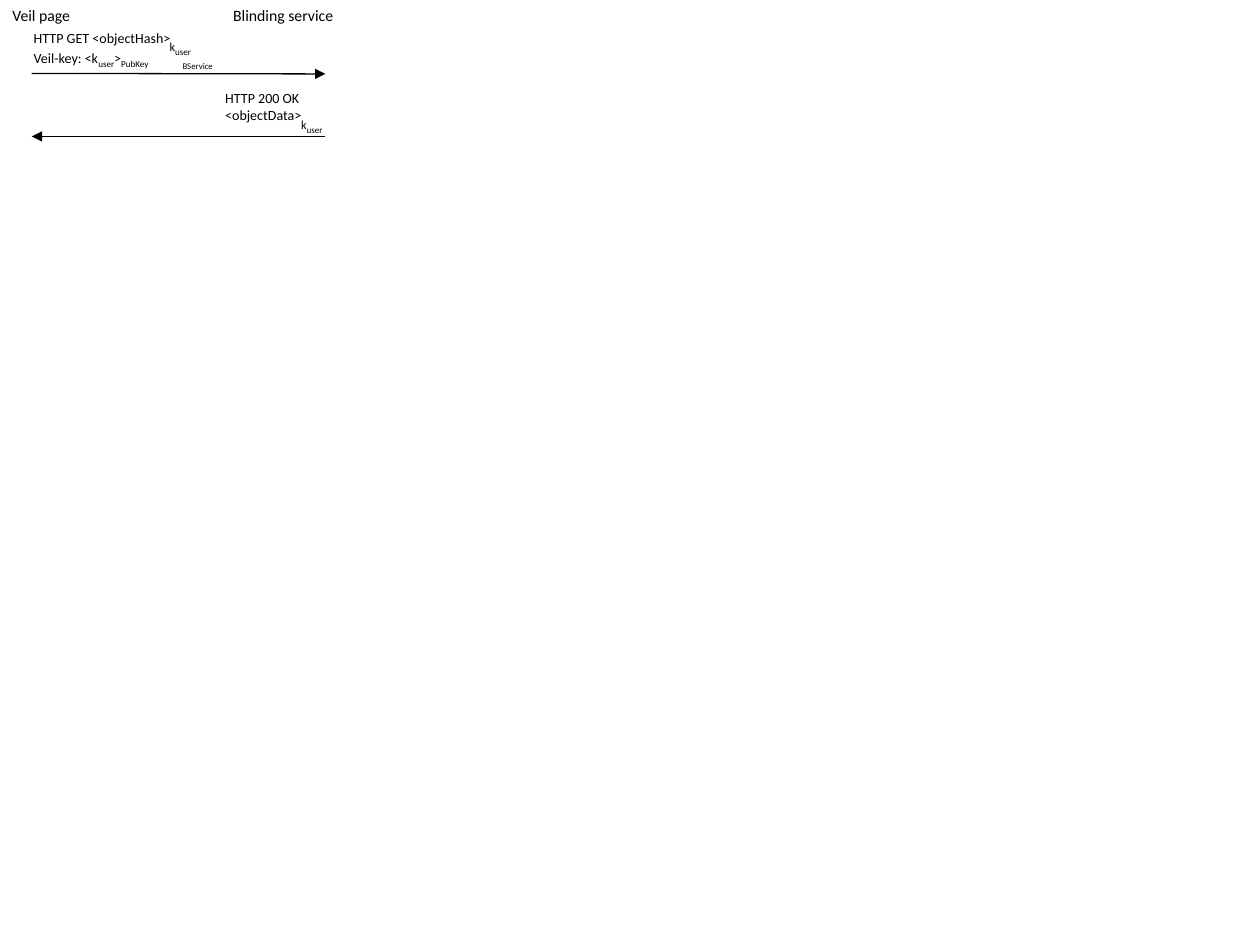
from dataclasses import dataclass

from lxml import etree
from pptx import Presentation
from pptx.dml.color import RGBColor
from pptx.enum.shapes import MSO_CONNECTOR
from pptx.enum.text import MSO_AUTO_SIZE
from pptx.oxml.ns import qn
from pptx.util import Cm, Pt

STRAIGHT = MSO_CONNECTOR.STRAIGHT
GROW = MSO_AUTO_SIZE.SHAPE_TO_FIT_TEXT
INK = "000000"
FONT = "Calibri"
LEFT, RIGHT = 0.64, 6.56


@dataclass(frozen=True)
class Bit:
    text: str
    size: float
    sub: bool = False


@dataclass(frozen=True)
class Label:
    x: float
    y: float
    wide: float
    high: float
    bits: tuple[Bit, ...]


@dataclass(frozen=True)
class Arrow:
    start: float
    end: float
    top: float
    low: float


USER = Bit("user", 9, True)
KEY = (Bit("k", 7), USER)

HEADS = (
    Label(0, 0, 2.96, 0.64, (Bit("Veil page", 9),)),
    Label(4.45, 0, 5.08, 0.64, (Bit("Blinding service", 9),)),
)
STATUS = Label(4.29, 1.69, 3.18, 0.61, (Bit("HTTP 200 OK", 8),))
GROUPS = (
    (
        Label(0.43, 0.84, 5.08, 0.61, (
            Bit("Veil-key: <k", 8), USER, Bit(">", 8), Bit("PubKey", 9, True),
        )),
        Label(3.43, 1.11, 1.9, 0.47, (Bit("BService", 5),)),
    ),
    (
        Label(4.29, 2.02, 2.84, 0.61, (Bit("<objectData>", 8),)),
        Label(5.82, 2.17, 1.38, 0.55, KEY),
    ),
    (
        Label(0.43, 0.47, 5.08, 0.61, (Bit("HTTP GET <objectHash>", 8),)),
        Label(3.17, 0.6, 1.38, 0.55, KEY),
    ),
)
ARROWS = (
    Arrow(LEFT, RIGHT, 1.48, 1.49),
    Arrow(RIGHT, LEFT, 2.75, 2.75),
)


def paint(target, shade: str) -> None:
    target.rgb = RGBColor.from_string(shade)


def add_label(shapes, label: Label) -> None:
    box = shapes.add_textbox(Cm(label.x), Cm(label.y), Cm(label.wide), Cm(label.high))
    frame = box.text_frame
    frame.word_wrap = True
    frame.auto_size = GROW
    for bit in label.bits:
        run = frame.paragraphs[0].add_run()
        run.text = bit.text
        run.font.name = FONT
        run.font.size = Pt(bit.size)
        paint(run.font.color, INK)
        if bit.sub:
            run._r.get_or_add_rPr().set("baseline", "-25000")


def add_arrow(shapes, arrow: Arrow) -> None:
    line = shapes.add_connector(
        STRAIGHT, Cm(arrow.start), Cm(arrow.top), Cm(arrow.end), Cm(arrow.low)
    )
    line.line.width = Pt(0.75)
    line.line.fill.solid()
    paint(line.line.fill.fore_color, INK)
    props = line._element.spPr
    etree.SubElement(props.find(qn("a:ln")), qn("a:tailEnd")).set("type", "triangle")
    etree.SubElement(props, qn("a:effectLst"))


def main() -> None:
    deck = Presentation()
    deck.slide_width, deck.slide_height = Cm(25.4), Cm(19.05)
    shapes = deck.slides.add_slide(deck.slide_layouts[6]).shapes
    for group in GROUPS:
        inner = shapes.add_group_shape().shapes
        for label in group:
            add_label(inner, label)
    for label in (*HEADS, STATUS):
        add_label(shapes, label)
    for arrow in ARROWS:
        add_arrow(shapes, arrow)
    deck.save("out.pptx")


main()
